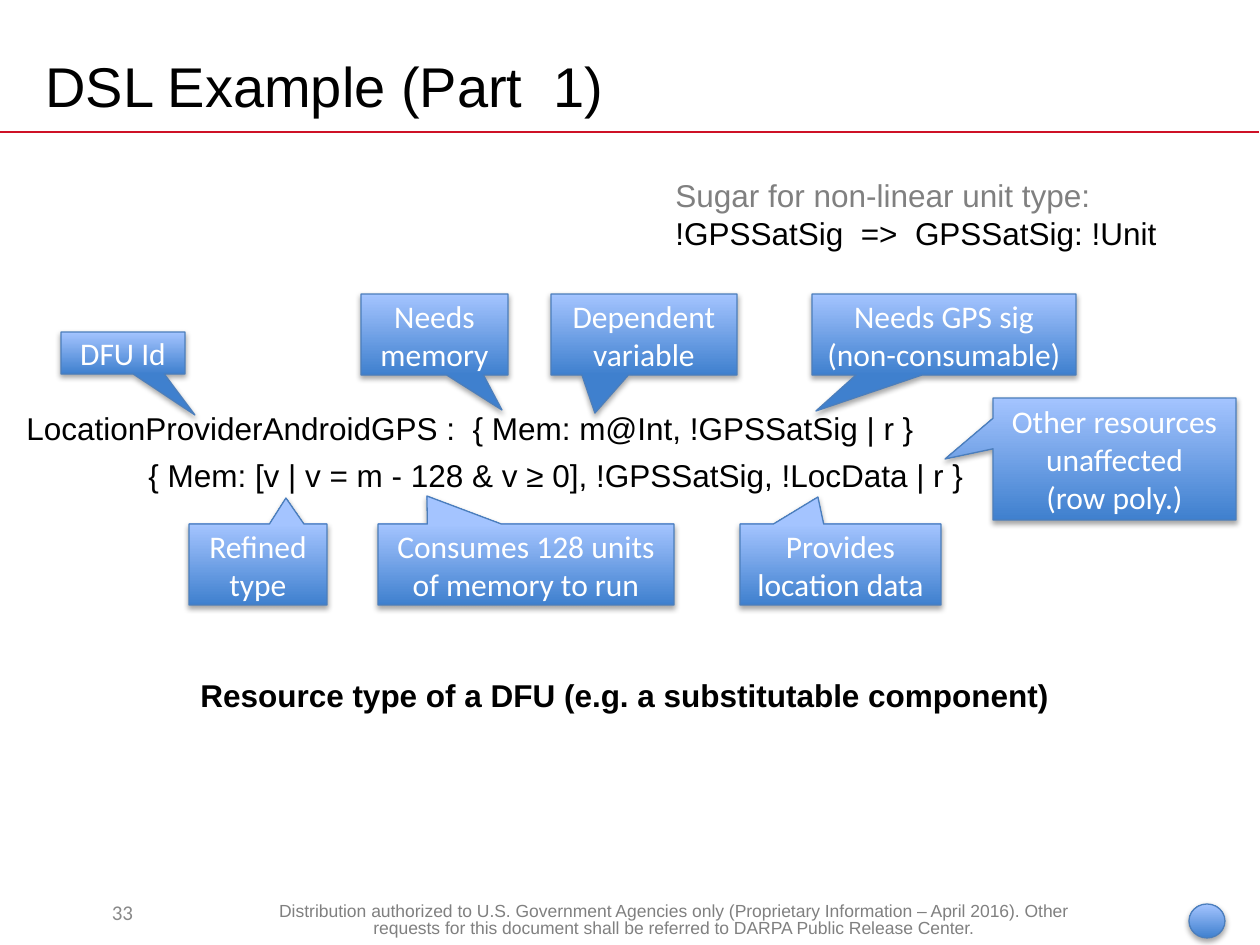
from dataclasses import dataclass

from lxml import etree
from pptx import Presentation
from pptx.dml.color import RGBColor
from pptx.enum.shapes import MSO_CONNECTOR as Connector, MSO_SHAPE as Shape
from pptx.enum.text import MSO_ANCHOR as Anchor, MSO_AUTO_SIZE as AutoSize, PP_ALIGN as Align
from pptx.oxml.ns import qn
from pptx.util import Emu, Pt

PX_PER_INCH = 126


@dataclass(frozen=True)
class Theme:
    ink: str = "000000"
    muted: str = "808080"
    number: str = "898989"
    rule: str = "CE1126"
    callout_text: str = "FFFFFF"
    callout_line: str = "4B7EBC"
    gradient: tuple = ("3F80CE", "A4C4FF")
    text_font: str = "Arial"
    callout_font: str = "Calibri"
    title_size: int = 32
    body_size: int = 18
    number_size: int = 12
    footer_size: int = 10


THEME = Theme()


def px(length):
    return Emu(round(length * 914400 / PX_PER_INCH))


def style(paragraph, size, color, font=THEME.text_font, bold=False, align=Align.LEFT):
    paragraph.alignment = align
    for run in paragraph.runs:
        run.font.size = Pt(size)
        run.font.name = font
        run.font.bold = bold
        run.font.color.rgb = RGBColor.from_string(color)


def add_text(slide, box, text, anchor=Anchor.TOP, wrap=True):
    frame = slide.shapes.add_textbox(*map(px, box)).text_frame
    frame.word_wrap = wrap
    frame.auto_size = AutoSize.NONE
    frame.vertical_anchor = anchor
    frame.text = text
    return frame.paragraphs


def add_glossy(slide, kind, box):
    """Shape with the blue gradient, thin outline and soft shadow."""
    shape = slide.shapes.add_shape(kind, *map(px, box))
    shape.fill.gradient()
    shape.fill.gradient_angle = 90
    for stop, color in zip(shape.fill.gradient_stops, THEME.gradient):
        stop.color.rgb = RGBColor.from_string(color)
    for stop, position in zip(shape.fill.gradient_stops, (0, 1)):
        stop.position = position
    shape.line.color.rgb = RGBColor.from_string(THEME.callout_line)
    shape.line.width = Pt(0.75)
    shape.shadow.inherit = False
    effects = shape.element.spPr.find(qn("a:effectLst"))
    shadow = etree.SubElement(effects, qn("a:outerShdw"), blurRad="40000",
                              dist="23000", dir="5400000", rotWithShape="0")
    black = etree.SubElement(shadow, qn("a:srgbClr"), val="000000")
    etree.SubElement(black, qn("a:alpha"), val="35000")
    return shape


def add_callout(slide, box, tip, text):
    left, top, width, height = box
    callout = add_glossy(slide, Shape.RECTANGULAR_CALLOUT, box)
    callout.adjustments[0] = (tip[0] - left) / width - 0.5
    callout.adjustments[1] = (tip[1] - top) / height - 0.5
    frame = callout.text_frame
    frame.word_wrap = True
    frame.vertical_anchor = Anchor.MIDDLE
    frame.text = text
    for paragraph in frame.paragraphs:
        style(paragraph, THEME.body_size, THEME.callout_text,
              THEME.callout_font, align=Align.CENTER)


def add_header(slide, box):
    left, top, width, height = box
    title, = add_text(slide, (left + 33, top + 38, 1134, 94),
                      "DSL Example (Part  1)", Anchor.MIDDLE)
    style(title, THEME.title_size, THEME.ink)
    rule = slide.shapes.add_connector(Connector.STRAIGHT, px(left), px(top + height),
                                      px(left + width), px(top + height))
    rule.line.color.rgb = RGBColor.from_string(THEME.rule)
    rule.line.width = Pt(1)
    etree.SubElement(rule.element.spPr, qn("a:effectLst"))


def add_sugar_note(slide, box):
    caption, rewrite = add_text(
        slide, box,
        "Sugar for non-linear unit type:\n!GPSSatSig  =>  GPSSatSig: !Unit", wrap=False)
    style(caption, THEME.body_size, THEME.muted)
    style(rewrite, THEME.body_size, THEME.ink)


def add_signature(slide, box):
    """The resource type, with callouts above, below and beside it."""
    left, top, width, height = box
    required, provided = add_text(
        slide, box,
        "LocationProviderAndroidGPS :  { Mem: m@Int, !GPSSatSig | r }\n"
        "{ Mem: [v | v = m - 128 & v ≥ 0], !GPSSatSig, !LocData | r }")
    provided.space_before = Pt(5)
    provided._p.get_or_add_pPr().set("marL", str(px(122)))
    for line in (required, provided):
        style(line, THEME.body_size, THEME.ink)

    # Callout box and tip, both relative to the signature box
    above, below, two_lines = -109, 121, 81
    callouts = [
        ((47, -71, 124, 42), (181, 12), "DFU Id"),
        ((347, above, 147, two_lines), (488, 7), "Needs\vmemory"),
        ((537, above, 186, two_lines), (581, 10), "Dependent\vvariable"),
        ((798, above, 264, two_lines), (802, 8), "Needs GPS sig\v(non-consumable)"),
        ((175, below, 138, two_lines), (272, 95), "Refined\ntype"),
        ((364, below, 296, two_lines), (413, 93), "Consumes 128 units\vof memory to run"),
        ((726, below, 201, two_lines), (804, 94), "Provides\vlocation data"),
        ((979, -5, 243, 122), (931, 56), "Other resources unaffected\v(row poly.)"),
    ]
    for (x, y, w, h), (tip_x, tip_y), text in callouts:
        add_callout(slide, (left + x, top + y, w, h), (left + tip_x, top + tip_y), text)


def add_summary(slide, box):
    summary, = add_text(slide, box, "Resource type of a DFU (e.g. a substitutable component)")
    style(summary, THEME.body_size, THEME.ink, bold=True)


def add_footer(slide, box):
    left, top, width, height = box
    number, = add_text(slide, (left + 35, top, 175, 50), "33", Anchor.MIDDLE)
    style(number, THEME.number_size, THEME.number, THEME.callout_font, align=Align.CENTER)
    notice, = add_text(
        slide, (left + 266, top + 11, 815, 39),
        "Distribution authorized to U.S. Government Agencies only (Proprietary Information – "
        "April 2016). Other requests for this document shall be referred to DARPA Public "
        "Release Center.")
    style(notice, THEME.footer_size, THEME.muted, align=Align.CENTER)
    notice.line_spacing = 0.8
    add_glossy(slide, Shape.OVAL, (left + 1189, top + 17, 36, 34))


def main():
    deck = Presentation()
    deck.slide_width, deck.slide_height = px(1260), px(945)
    slide = deck.slides.add_slide(deck.slide_layouts[6])
    add_header(slide, (0, 0, 1259, 132))
    add_sugar_note(slide, (663, 170, 512, 89))
    add_signature(slide, (14, 403, 1246, 98))
    add_summary(slide, (188, 670, 897, 50))
    add_footer(slide, (0, 887, 1260, 58))
    deck.save("out.pptx")


if __name__ == "__main__":
    main()
